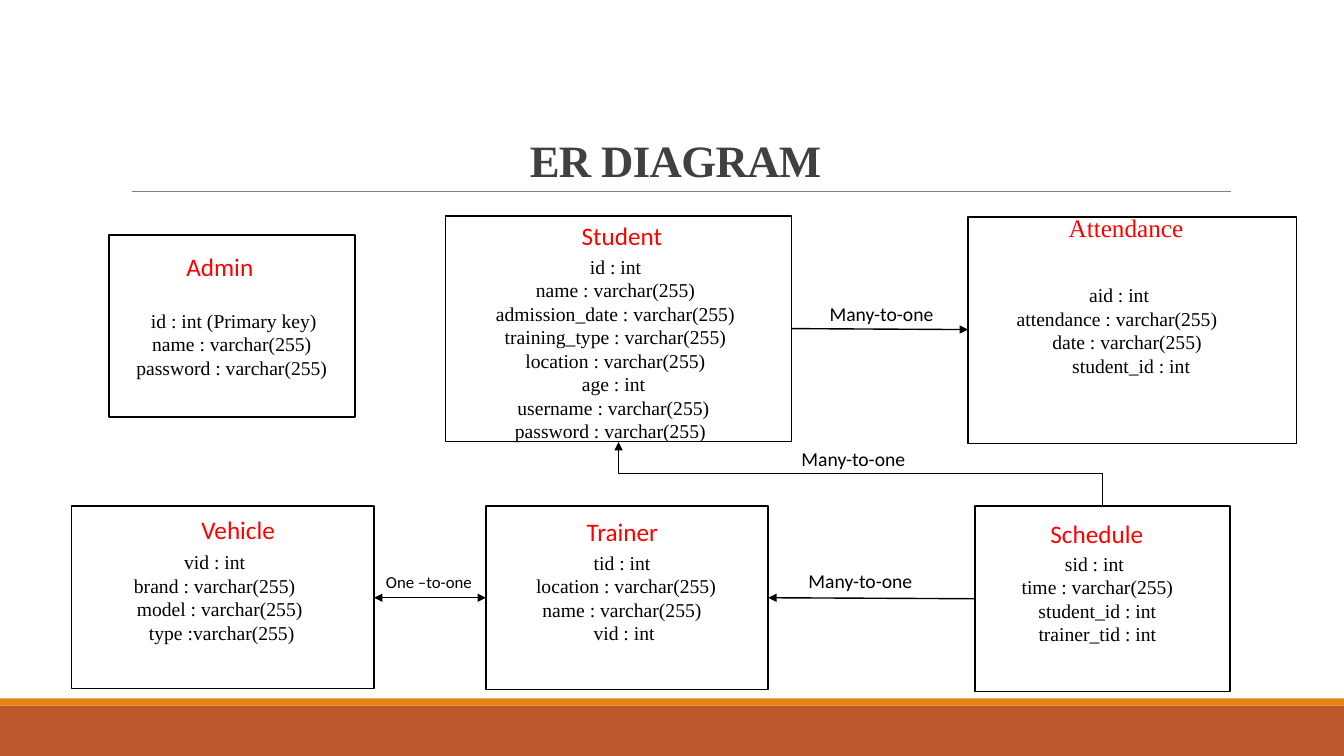
"""Build the ER diagram slide for a driving school database."""
from dataclasses import dataclass

import pptx
import pptx.dml.color
import pptx.enum.shapes
import pptx.enum.text
import pptx.oxml
import pptx.oxml.ns
import pptx.util

Inches = pptx.util.Inches
Pt = pptx.util.Pt
ALIGN = pptx.enum.text.PP_ALIGN
ANCHOR = pptx.enum.text.MSO_ANCHOR
CONNECTOR = pptx.enum.shapes.MSO_CONNECTOR
RECTANGLE = pptx.enum.shapes.MSO_SHAPE.RECTANGLE
SERIF, SANS = "Times New Roman", "Calibri"
COLORS = {
    "paper": "FFFFFF", "ink": "000000", "title": "404040", "name": "FF0000",
    "rule": "808080", "footer": "BD582C", "accent": "E48312",
}


@dataclass
class Field:
    text: str
    nudge: float = 0


@dataclass
class Label:
    text: str
    left: float
    top: float
    width: float
    size: int = 14
    color: str = "ink"
    font: str = SANS
    wrap: bool = True


@dataclass
class Entity:
    box: tuple[float, float, float, float]
    name: Label
    fields: list[Field]
    gap: float = 0


@dataclass
class Link:
    start: tuple[float, float]
    end: tuple[float, float]
    ends: tuple[str, ...] = ("tailEnd",)
    kind: CONNECTOR = CONNECTOR.STRAIGHT
    rotation: int = 0
    color: str = "ink"
    weight: float = 1


def name_label(text: str, left: float, top: float, width: float, font: str = SANS) -> Label:
    return Label(text, left, top, width, 18, "name", font)


ENTITIES = [
    Entity((4.42, 2.14, 3.43, 2.24), name_label("Student", 5.67, 2.14, 2.12), [
        Field("id : int", -0.03), Field("name : varchar(255)"),
        Field("admission_date : varchar(255)"), Field("training_type : varchar(255)"),
        Field("location : varchar(255)", -0.03), Field("age : int", -0.05),
        Field("username : varchar(255)"), Field("password : varchar(255)", -0.08)], 0.4),
    Entity((9.6, 2.15, 3.26, 2.25), name_label("Attendance", 10.5, 2.06, 2.15, SERIF), [
        Field("aid : int", -0.13), Field("attendance : varchar(255)", -0.15),
        Field("date : varchar(255)", -0.05), Field("student_id : int", 0.04)]),
    Entity((1.08, 2.33, 2.44, 1.81), name_label("Admin", 1.75, 2.44, 2.33), [
        Field("id : int (Primary key)", 0.02), Field("name : varchar(255)"),
        Field("password : varchar(255)")], 0.35),
    Entity((9.67, 5.02, 2.53, 1.84), name_label("Schedule", 10.32, 5.09, 2.5), [
        Field("sid : int", -0.08), Field("time : varchar(255)", -0.05),
        Field("student_id : int"), Field("trainer_tid : int")]),
    Entity((4.82, 5.02, 2.8, 1.82), name_label("Trainer", 5.72, 5.07, 2.44), [
        Field("tid : int", -0.05), Field("location : varchar(255)", 0.04),
        Field("name : varchar(255)"), Field("vid : int", 0.02)]),
    Entity((0.71, 5.02, 3, 1.81), name_label("Vehicle", 1.9, 5.05, 2.26), [
        Field("vid : int", -0.08), Field("brand : varchar(255)"),
        Field("model : varchar(255)", -0.03), Field("type :varchar(255)", 0.02)]),
]
LINKS = [
    Link((7.85, 3.26), (9.6, 3.27)),
    Link((9.67, 5.94), (7.62, 5.93)),
    Link((8.22, 7.1), (8.85, 2.3), kind=CONNECTOR.ELBOW, rotation=270),
    Link((3.71, 5.93), (4.82, 5.93), ends=("headEnd", "tailEnd")),
]
LABELS = [
    Label("One –to-one", 3.73, 5.62, 1.06, 12, wrap=False),
    Label("Many-to-one", 8.13, 2.95, 1.47),
    Label("Many-to-one", 7.85, 4.38, 1.62),
    Label("Many-to-one", 7.92, 5.59, 1.44),
]


def rgb(name: str) -> pptx.dml.color.RGBColor:
    return pptx.dml.color.RGBColor.from_string(COLORS[name])


def add_run(p, text: str, size: int, font: str, color: str):
    r = p.add_run()
    r.text = text
    r.font.size = Pt(size)
    r.font.name = font
    r.font.color.rgb = rgb(color)
    return r


def add_rect(slide, box: tuple[float, float, float, float], fill: str, line: str = ""):
    sp = slide.shapes.add_shape(RECTANGLE, *map(Inches, box))
    sp.shadow.inherit = False
    sp.fill.solid()
    sp.fill.fore_color.rgb = rgb(fill)
    if line:
        sp.line.color.rgb = rgb(line)
        sp.line.width = Pt(1.25)
    else:
        sp.line.fill.background()
    return sp


def add_label(slide, label: Label) -> None:
    height = label.size / 72 * 1.2 + 0.1
    sp = slide.shapes.add_textbox(*map(Inches, (label.left, label.top, label.width, height)))
    tf = sp.text_frame
    tf.word_wrap = label.wrap
    tf.auto_size = pptx.enum.text.MSO_AUTO_SIZE.SHAPE_TO_FIT_TEXT
    add_run(tf.paragraphs[0], label.text, label.size, label.font, label.color)


def add_entity(slide, entity: Entity) -> None:
    tf = add_rect(slide, entity.box, "paper", "ink").text_frame
    tf.word_wrap = True
    tf.vertical_anchor = ANCHOR.MIDDLE
    tf.margin_top, tf.margin_bottom = Inches(entity.gap), 0
    for i, field in enumerate(entity.fields):
        p = tf.add_paragraph() if i else tf.paragraphs[0]
        p.alignment = ALIGN.CENTER
        if field.nudge:
            side = "marL" if field.nudge > 0 else "marR"
            p._p.get_or_add_pPr().set(side, str(Inches(2 * abs(field.nudge))))
        add_run(p, field.text, 14, SERIF, "ink")
    add_label(slide, entity.name)


def add_link(slide, link: Link) -> None:
    cx = slide.shapes.add_connector(link.kind, *map(Inches, link.start + link.end))
    cx.line.color.rgb = rgb(link.color)
    cx.line.width = Pt(link.weight)
    ln = cx.line._get_or_add_ln()
    for end in link.ends:
        pptx.oxml.ns.qn("a:" + end)
        ln.append(pptx.oxml.parse_xml(
            f'<a:{end} {pptx.oxml.ns.nsdecls("a")} type="triangle"/>'))
    sp_pr = cx._element.spPr
    sp_pr.append(pptx.oxml.parse_xml(f'<a:effectLst {pptx.oxml.ns.nsdecls("a")}/>'))
    if link.rotation:
        sp_pr.xfrm.set("rot", str(link.rotation * 60000))


def add_title(slide, text: str) -> None:
    sp = slide.shapes.title
    sp.left, sp.top, sp.width, sp.height = map(Inches, (1.2, 0.31, 11, 1.59))
    tf = sp.text_frame
    tf.vertical_anchor = ANCHOR.BOTTOM
    p = tf.paragraphs[0]
    p.alignment = ALIGN.CENTER
    p.line_spacing = 0.85
    r = add_run(p, text, 32, SERIF, "title")
    r.font.bold = True
    r._r.get_or_add_rPr().set("spc", "-50")


prs = pptx.Presentation()
prs.slide_width, prs.slide_height = Inches(13.33), Inches(7.5)
slide = prs.slides.add_slide(prs.slide_layouts[5])
add_rect(slide, (0, 7, 13.33, 0.5), "footer")
add_rect(slide, (0, 6.93, 13.33, 0.07), "accent")
add_link(slide, Link((1.31, 1.9), (12.21, 1.9), ends=(), color="rule", weight=0.5))
add_title(slide, "ER DIAGRAM")
for entity in ENTITIES:
    add_entity(slide, entity)
for link in LINKS:
    add_link(slide, link)
for label in LABELS:
    add_label(slide, label)
prs.save("out.pptx")
